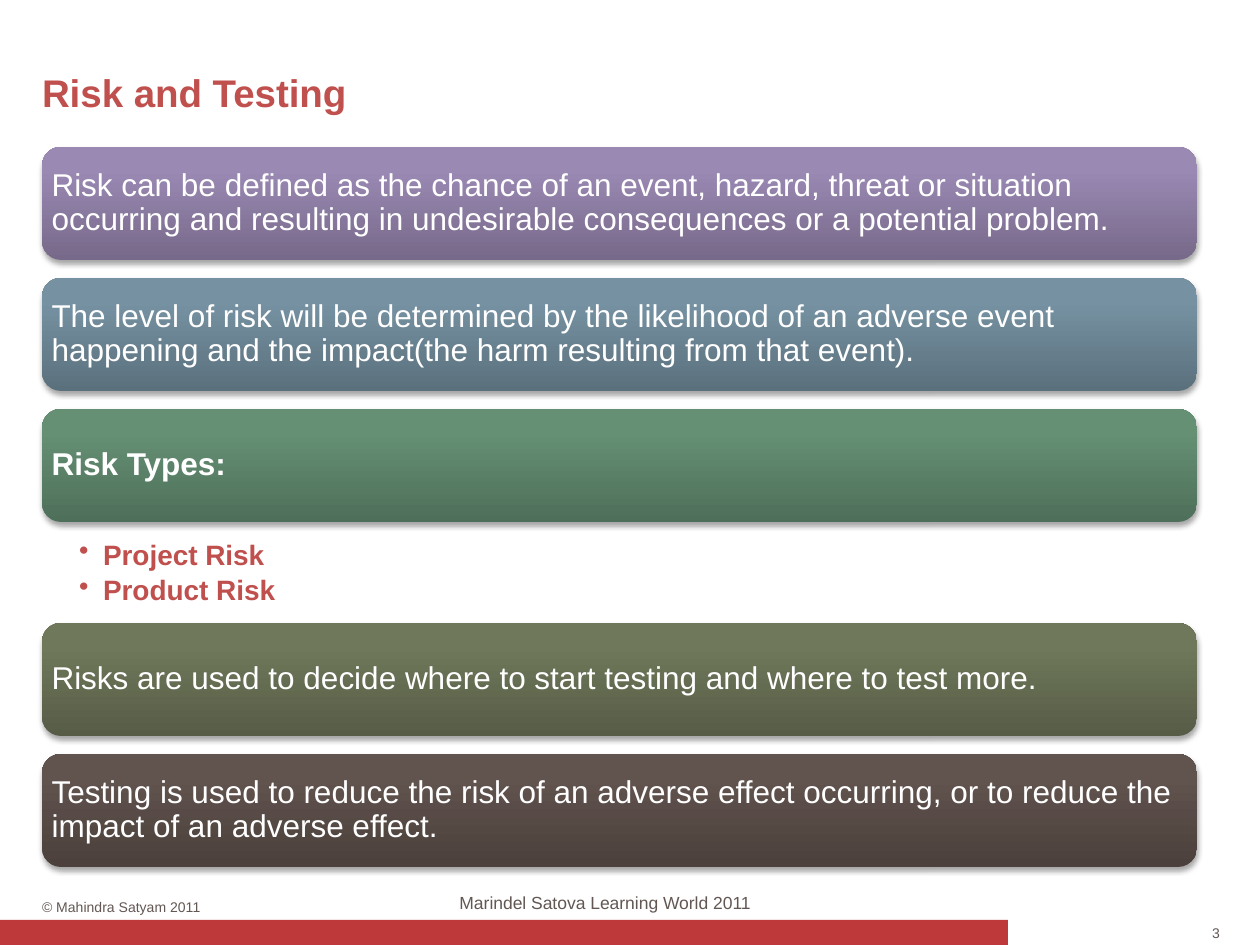
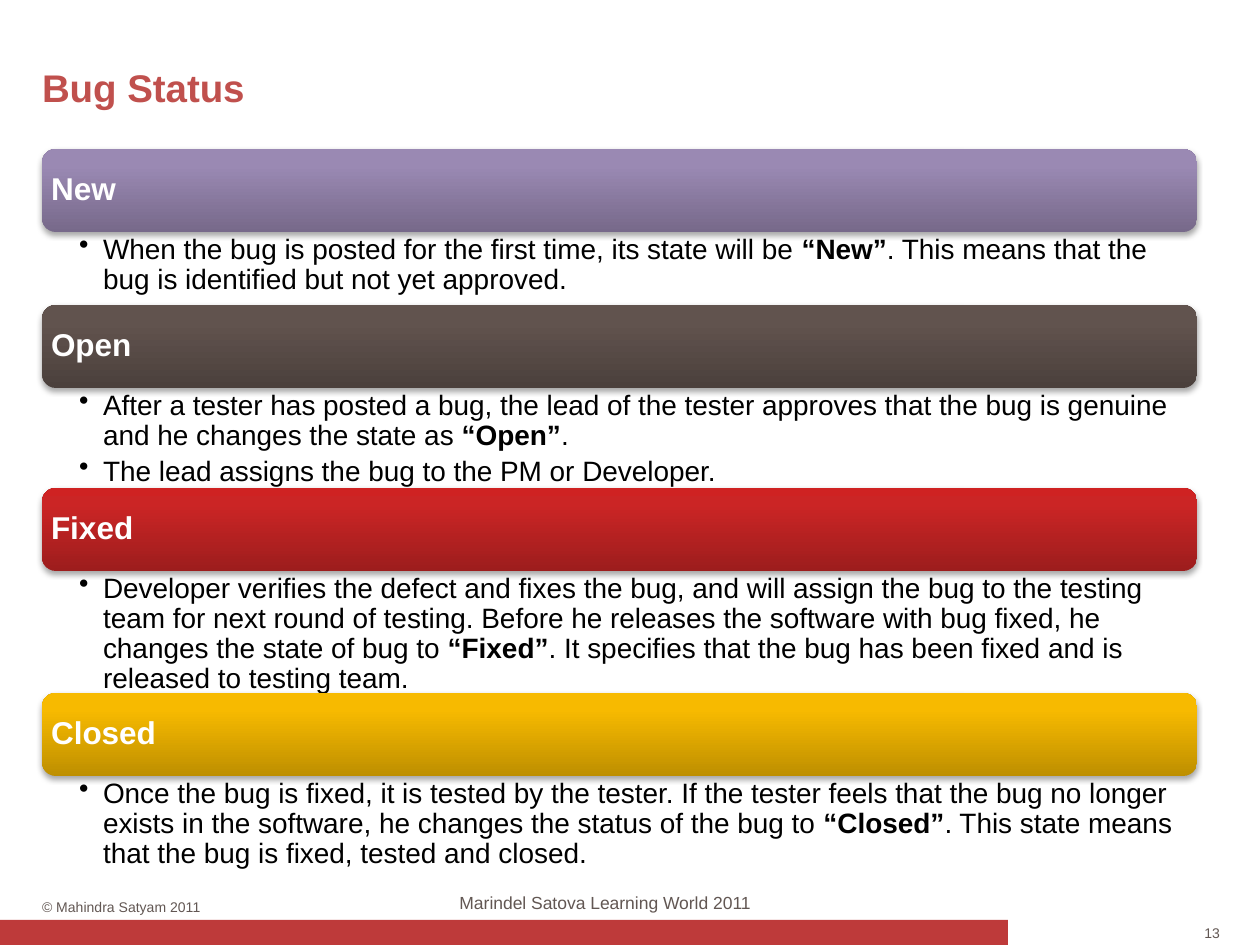
"""Build two slides on risk and bug status from stacked colour bands."""
import copy

import lxml.etree
import pptx
import pptx.dml.color
import pptx.enum.shapes
import pptx.enum.text
import pptx.oxml.ns
import pptx.util

RGBColor = pptx.dml.color.RGBColor
SHAPE = pptx.enum.shapes.MSO_SHAPE
ALIGN = pptx.enum.text.PP_ALIGN
ANCHOR = pptx.enum.text.MSO_ANCHOR
qn = pptx.oxml.ns.qn

WHITE = RGBColor(0xFF, 0xFF, 0xFF)
BLACK = RGBColor(0x00, 0x00, 0x00)
BRICK = RGBColor(0xC0, 0x50, 0x4D)
FOOTER_RED = RGBColor(0xBE, 0x3A, 0x3A)
FOOTER_GREY = RGBColor(0x62, 0x57, 0x53)

PURPLE = (RGBColor(0x77, 0x69, 0x8A), RGBColor(0x9A, 0x89, 0xB3), RGBColor(0x9B, 0x88, 0xB5))
STEEL = (RGBColor(0x5B, 0x70, 0x7D), RGBColor(0x76, 0x92, 0xA2), RGBColor(0x76, 0x93, 0xA4))
GREEN = (RGBColor(0x4E, 0x6F, 0x59), RGBColor(0x65, 0x90, 0x74), RGBColor(0x65, 0x92, 0x74))
OLIVE = (RGBColor(0x56, 0x5C, 0x46), RGBColor(0x6F, 0x78, 0x5A), RGBColor(0x70, 0x79, 0x5A))
BROWN = (RGBColor(0x4B, 0x40, 0x3C), RGBColor(0x61, 0x53, 0x4E), RGBColor(0x62, 0x54, 0x4E))
RED = (RGBColor(0x9D, 0x1D, 0x1D), RGBColor(0xCB, 0x25, 0x25), RGBColor(0xCF, 0x22, 0x22))
GOLD = (RGBColor(0xBE, 0x8F, 0x00), RGBColor(0xF7, 0xBA, 0x00), RGBColor(0xF8, 0xBB, 0x00))
GRADIENT_POSITIONS = (0, 0.8, 1)

FONT = "Arial"
PX_PER_INCH = 126
PAGE_WIDTH, PAGE_HEIGHT = 1260, 945
LEFT, BAND_WIDTH, TITLE_WIDTH = 42, 1155, 1177
BAND_INSET = 9
DETAIL_INSETS = (37, 3, 15, 3)
BULLET_INDENT = 24

COPYRIGHT = "© Mahindra Satyam 2011"
COURSE = "Marindel Satova Learning World 2011"

SLIDES = [
    {
        "title": "Risk and Testing", "number": "3", "title_top": 69,
        "top": 147, "band_height": 113, "gap": 18, "detail_drop": 16, "detail_color": BRICK,
        "bands": [
            (PURPLE, "Risk can be defined as the chance of an event, hazard, threat or situation "
             "occurring and resulting in undesirable consequences or a potential problem.", 0, []),
            (STEEL, "The level of risk will be determined by the likelihood of an adverse event "
             "happening and the impact(the harm resulting from that event).", 0, []),
            (GREEN, "**Risk Types:**", 101, ["**Project Risk**", "**Product Risk**"]),
            (OLIVE, "Risks are used to decide where to start testing and where to test more.", 0, []),
            (BROWN, "Testing is used to reduce the risk of an adverse effect occurring, "
             "or to reduce the impact of an adverse effect.", 0, []),
        ],
    },
    {
        "title": "Bug Status", "number": "13", "title_top": 64,
        "top": 149, "band_height": 83, "gap": 0, "detail_drop": 0, "detail_color": BLACK,
        "bands": [
            (PURPLE, "**New**", 73, [
                "When the bug is posted for the first time, its state will be **“New”**. "
                "This means that the bug is identified but not yet approved."]),
            (BROWN, "**Open**", 100, [
                "After a tester has posted a bug, the lead of the tester approves that the bug "
                "is genuine and he changes the state as **“Open”**.",
                "The lead assigns the bug to the PM or Developer."]),
            (RED, "**Fixed**", 122, [
                "Developer verifies the defect and fixes the bug, and will assign the bug to the "
                "testing team for next round of testing. Before he releases the software with bug "
                "fixed, he changes the state of bug to **“Fixed”**. It specifies that the bug has "
                "been fixed and is released to testing team."]),
            (GOLD, "**Closed**", 93, [
                "Once the bug is fixed, it is tested by the tester. If the tester feels that the "
                "bug no longer exists in the software, he changes the status of the bug to "
                "**“Closed”**. This state means that the bug is fixed, tested and closed."]),
        ],
    },
]


def px(length):
    return pptx.util.Emu(round(length * 914400 / PX_PER_INCH))


def place(shape, left, top, width, height):
    shape.left, shape.top, shape.width, shape.height = map(px, (left, top, width, height))


def add_bullet(para):
    properties = para._p.get_or_add_pPr()
    properties.set("marL", str(px(BULLET_INDENT)))
    properties.set("indent", str(-px(BULLET_INDENT)))
    lxml.etree.SubElement(properties, qn("a:buChar")).set("char", "•")


def write(shape, *texts, size, color, align=ALIGN.LEFT, anchor=ANCHOR.TOP, insets=(0, 0, 0, 0),
          wrap=True, line_spacing=1.0, space_after=0, bullets=False):
    frame = shape.text_frame
    frame.auto_size = pptx.enum.text.MSO_AUTO_SIZE.NONE
    frame.word_wrap = wrap
    frame.vertical_anchor = anchor
    frame.margin_left, frame.margin_top, frame.margin_right, frame.margin_bottom = map(px, insets)
    for index, text in enumerate(texts):
        para = frame.add_paragraph() if index else frame.paragraphs[0]
        if bullets:
            add_bullet(para)
        para.alignment = align
        para.line_spacing = line_spacing
        para.space_before = pptx.util.Pt(0)
        para.space_after = pptx.util.Pt(space_after)
        for part, words in enumerate(text.split("**")):
            if words:
                span = para.add_run()
                span.text = words
                span.font.name = FONT
                span.font.size = pptx.util.Pt(size)
                span.font.bold = part % 2 == 1
                span.font.color.rgb = color


def add_text(page, bounds, *texts, **text_format):
    box = page.shapes.add_textbox(*map(px, bounds))
    write(box, *texts, **text_format)


def add_plain_shape(page, kind, bounds):
    shape = page.shapes.add_shape(kind, *map(px, bounds))
    shape.shadow.inherit = False
    shape.line.fill.background()
    return shape


def shade(shape, colors):
    shape.fill.gradient()
    shape.fill.gradient_angle = 90
    stop_list = shape._element.spPr.find(".//" + qn("a:gsLst"))
    stop_list.append(copy.deepcopy(stop_list[-1]))
    for stop, position, color in zip(shape.fill.gradient_stops, GRADIENT_POSITIONS, colors):
        stop.position = position
        stop.color.rgb = color


def drop_shadow(shape):
    effects = shape._element.spPr.find(qn("a:effectLst"))
    shadow = lxml.etree.SubElement(effects, qn("a:outerShdw"), blurRad="40000", dist="23000",
                                   dir="5400000", rotWithShape="0")
    color = lxml.etree.SubElement(shadow, qn("a:srgbClr"), val="000000")
    lxml.etree.SubElement(color, qn("a:alpha"), val="35000")


def add_band(page, top, height, colors, text):
    band = add_plain_shape(page, SHAPE.ROUNDED_RECTANGLE, (LEFT, top, BAND_WIDTH, height))
    shade(band, colors)
    drop_shadow(band)
    inset = round(BAND_INSET - 0.29 * height / 6)
    write(band, text, size=18, color=WHITE, anchor=ANCHOR.MIDDLE, insets=(inset,) * 4,
          line_spacing=0.9)


def add_footer(page, number):
    bar = add_plain_shape(page, SHAPE.RECTANGLE, (0, 920, 1008, 25))
    bar.fill.solid()
    bar.fill.fore_color.rgb = FOOTER_RED
    add_text(page, (1170, 924, 50, 17), number, size=8, color=FOOTER_GREY,
             align=ALIGN.RIGHT, anchor=ANCHOR.MIDDLE)
    add_text(page, (LEFT, 898, 194, 17), COPYRIGHT, size=8, color=FOOTER_GREY)
    add_text(page, (333, 892, 544, 21), COURSE, size=10, color=FOOTER_GREY, align=ALIGN.CENTER)


def add_page(deck, content):
    page = deck.slides.add_slide(deck.slide_layouts[5])
    add_footer(page, content["number"])
    place(page.shapes.title, LEFT, content["title_top"], TITLE_WIDTH, 47)
    write(page.shapes.title, f"**{content['title']}**", size=22, color=BRICK)
    top, height = content["top"], content["band_height"]
    for colors, text, detail_height, details in content["bands"]:
        add_band(page, top, height, colors, text)
        top += height
        if details:
            add_text(page, (LEFT, top + content["detail_drop"], BAND_WIDTH, detail_height),
                     *details, size=16, color=content["detail_color"], insets=DETAIL_INSETS,
                     line_spacing=0.9, space_after=3.2, bullets=True)
        top += detail_height or content["gap"]


def main():
    deck = pptx.Presentation()
    deck.slide_width, deck.slide_height = px(PAGE_WIDTH), px(PAGE_HEIGHT)
    for content in SLIDES:
        add_page(deck, content)
    deck.save("out.pptx")


if __name__ == "__main__":
    main()
